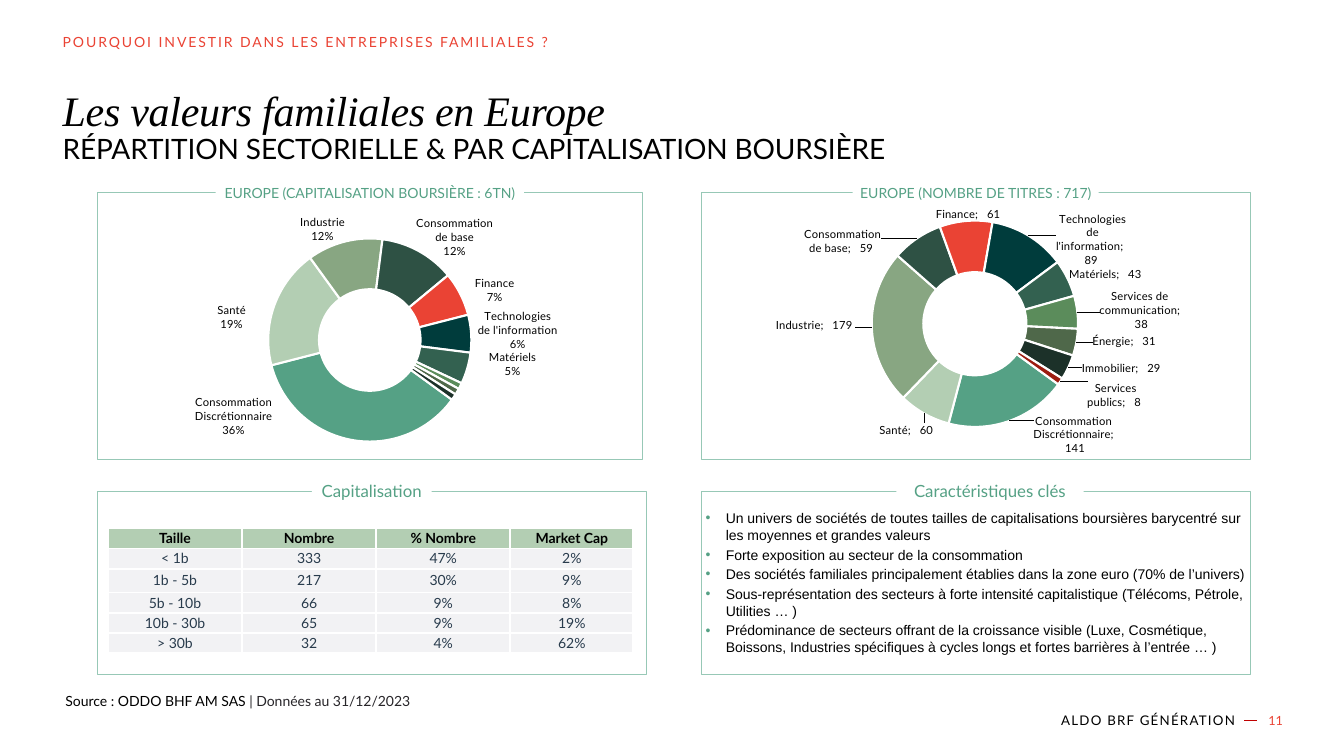
import math
from dataclasses import dataclass

from pptx import Presentation, oxml, util as u
from pptx.chart import data
from pptx.dml import color
from pptx.enum import chart as charts, shapes, text
from pptx.oxml import ns


@dataclass(frozen=True)
class Theme:
    red: str = "EA4334"
    dash: str = "C00000"
    green: str = "55A185"
    frame: str = "97C8B6"
    head: str = "B3CEB3"
    row: str = "F2F2F4"
    navy: str = "283B4C"
    dark: str = "272529"
    black: str = "000000"
    white: str = "FFFFFF"
    sectors: tuple = ("55A185", "B3CEB3", "88A682", "2E5144", "EA4334", "003C3C",
                      "336150", "5B8C5B", "4F684A", "1C3129", "9C1C10")
    font: str = "Lato"
    title_font: str = "Times New Roman"
    list_font: str = "Arial"
    headline: float = 30
    subtitle: float = 20
    caption: float = 12
    body: float = 10
    footer: float = 9.5
    page: float = 9
    label: float = 8


theme = Theme()
SECTORS = ["Consommation Discrétionnaire", "Santé", "Industrie", "Consommation de base",
           "Finance", "Technologies de l'information", "Matériels",
           "Services de communication", "Énergie", "Immobilier", "Services publics"]
START_ANGLE = 126


def rgb(code):
    return color.RGBColor.from_string(code)


def apply(target, values):
    for name, value in values.items():
        setattr(target, name, value)


def place(shape, box):
    apply(shape, dict(zip(("left", "top", "width", "height"), map(u.Cm, box))))


def add_run(paragraph, words, ink, size, font=theme.font, spacing=0, **style):
    run = paragraph.add_run()
    run.text = words
    apply(run.font, {"name": font, "size": u.Pt(size), **style})
    run.font.color.rgb = rgb(ink)
    if spacing:
        run.font._element.set("spc", str(round(spacing * 100)))


def set_frame(frame, margins=(0, 0, 0, 0), anchor=text.MSO_ANCHOR.MIDDLE):
    sides = ("margin_left", "margin_top", "margin_right", "margin_bottom")
    apply(frame, {"word_wrap": True, "auto_size": text.MSO_AUTO_SIZE.NONE,
                  "vertical_anchor": anchor, **dict(zip(sides, map(u.Cm, margins)))})


def add_text(slide, box, runs, align=text.PP_ALIGN.LEFT):
    shape = slide.shapes.add_textbox(*map(u.Cm, box))
    set_frame(shape.text_frame)
    paragraph = shape.text_frame.paragraphs[0]
    paragraph.alignment = align
    for run in runs:
        add_run(paragraph, **run)


def add_panel(slide, box):
    shape = slide.shapes.add_shape(shapes.MSO_SHAPE.RECTANGLE, *map(u.Cm, box))
    shape.shadow.inherit = False
    shape.fill.background()
    shape.line.color.rgb = rgb(theme.frame)
    shape.line.width = u.Pt(0.5)


def add_caption(slide, box, words, width, size, shift=0):
    left, top, panel_width, _ = box
    shape = slide.shapes.add_shape(
        shapes.MSO_SHAPE.RECTANGLE, u.Cm(left + (panel_width - width) / 2 + shift),
        u.Cm(top - 0.4), u.Cm(width), u.Cm(0.8))
    shape.shadow.inherit = False
    shape.fill.solid()
    shape.fill.fore_color.rgb = rgb(theme.white)
    shape.line.fill.background()
    set_frame(shape.text_frame)
    paragraph = shape.text_frame.paragraphs[0]
    paragraph.alignment = text.PP_ALIGN.CENTER
    add_run(paragraph, words, theme.green, size)


def label_xml(values, targets, box, center, radius, percent):
    separator = "\n" if percent else "; "
    number = "0%" if percent else r'_-* #\ ##0_-;\-* #\ ##0_-;_-* "-"??_-;_-'
    shown = (f'<c:showLegendKey val="0"/><c:showVal val="{int(not percent)}"/>'
             f'<c:showCatName val="1"/><c:showSerName val="0"/>'
             f'<c:showPercent val="{int(percent)}"/><c:showBubbleSize val="0"/>'
             f'<c:separator>{separator}</c:separator>')
    look = (f"<c:numFmt formatCode='{number}' sourceLinked='0'/>"
            '<c:spPr><a:noFill/><a:ln><a:noFill/></a:ln></c:spPr>'
            '<c:txPr><a:bodyPr wrap="square"/><a:p><a:pPr>'
            f'<a:defRPr sz="{theme.label * 100}"><a:solidFill><a:srgbClr val="{theme.black}"/>'
            f'</a:solidFill><a:latin typeface="{theme.font}"/></a:defRPr></a:pPr>'
            '<a:endParaRPr lang="fr-FR"/></a:p></c:txPr>')
    parts, passed = [], 0
    for index, value in enumerate(values):
        angle = math.radians(START_ANGLE + 360 * (passed + value / 2) / sum(values))
        passed += value
        if index >= len(targets):
            parts.append(f'<c:dLbl><c:idx val="{index}"/><c:delete val="1"/></c:dLbl>')
            continue
        x, y = targets[index]
        dx = (x - center[0] - 0.75 * radius * math.sin(angle)) / box[2]
        dy = (y - center[1] + 0.75 * radius * math.cos(angle)) / box[3]
        parts.append(f'<c:dLbl><c:idx val="{index}"/><c:layout><c:manualLayout>'
                     f'<c:x val="{dx:.4f}"/><c:y val="{dy:.4f}"/></c:manualLayout></c:layout>'
                     f'{look}{shown}</c:dLbl>')
    return (f'<c:dLbls {ns.nsdecls("c", "a")}>{"".join(parts)}{look}{shown}'
            f'<c:showLeaderLines val="{int(not percent)}"/></c:dLbls>')


def add_sector_chart(slide, box, values, targets, center, radius, percent):
    add_panel(slide, box)
    sectors = data.CategoryChartData()
    sectors.categories = SECTORS
    sectors.add_series("Series 1", values)
    chart = slide.shapes.add_chart(charts.XL_CHART_TYPE.DOUGHNUT, *map(u.Cm, box), sectors).chart
    apply(chart, {"has_title": False, "has_legend": False})
    apply(chart.font, {"name": theme.font, "size": u.Pt(theme.body)})
    chart.font.color.rgb = rgb(theme.black)
    plot = chart.plots[0]
    plot.vary_by_categories = False
    for index, ink in enumerate(theme.sectors):
        look = plot.series[0].points[index].format
        look.fill.solid()
        look.fill.fore_color.rgb = rgb(ink)
        look.line.color.rgb = rgb(theme.white)
        look.line.width = u.Pt(1.5)
    root = chart.element
    root.xpath(".//c:firstSliceAng")[0].set("val", str(START_ANGLE))
    root.xpath(".//c:holeSize")[0].set("val", "55")
    labels = label_xml(values, targets, box, center, radius, percent)
    root.xpath(".//c:ser/c:cat")[0].addprevious(oxml.parse_xml(labels))
    area = root.xpath(".//c:plotArea")[0]
    for layout in area.xpath("./c:layout"):
        area.remove(layout)
    spans = {"x": (center[0] - radius) / box[2], "y": (center[1] - radius) / box[3],
             "w": 2 * radius / box[2], "h": 2 * radius / box[3]}
    lengths = "".join(f'<c:{key} val="{span:.4f}"/>' for key, span in spans.items())
    area.insert(0, oxml.parse_xml(
        f'<c:layout {ns.nsdecls("c")}><c:manualLayout><c:layoutTarget val="inner"/>'
        f'<c:xMode val="edge"/><c:yMode val="edge"/>{lengths}</c:manualLayout></c:layout>'))
    root.xpath("./c:txPr")[0].addprevious(oxml.parse_xml(
        f'<c:spPr {ns.nsdecls("c", "a")}><a:noFill/><a:ln><a:noFill/></a:ln></c:spPr>'))


def add_size_table(slide, box, rows):
    add_panel(slide, box)
    widths, heights = (3.38, 3.38, 3.38, 3.1), (0.51, 0.51, 0.6, 0.51, 0.51, 0.51)
    table = slide.shapes.add_table(
        len(rows), len(widths), u.Cm(box[0] + 0.26), u.Cm(box[1] + 0.94),
        u.Cm(sum(widths)), u.Cm(sum(heights))).table
    for column, width in zip(table.columns, widths):
        column.width = u.Cm(width)
    for number, (row, height, words) in enumerate(zip(table.rows, heights, rows)):
        row.height = u.Cm(height)
        header = number == 0
        for cell, word in zip(row.cells, words):
            apply(cell, {"vertical_anchor": text.MSO_ANCHOR.MIDDLE, "margin_left": 0,
                         "margin_top": 0, "margin_right": 0, "margin_bottom": 0})
            cell.fill.solid()
            cell.fill.fore_color.rgb = rgb(theme.head if header else theme.row)
            paragraph = cell.text_frame.paragraphs[0]
            paragraph.alignment = text.PP_ALIGN.CENTER
            add_run(paragraph, word, theme.black if header else theme.navy, theme.body, bold=header)
            for index, side in enumerate("LRTB"):
                cell._tc.get_or_add_tcPr().insert(index, oxml.parse_xml(
                    f'<a:ln{side} {ns.nsdecls("a")} w="{u.Pt(1.5)}"><a:solidFill>'
                    f'<a:srgbClr val="{theme.white}"/></a:solidFill></a:ln{side}>'))


def add_key_points(slide, box, points):
    body = slide.placeholders[1]
    place(body, box)
    body.line.color.rgb = rgb(theme.frame)
    body.line.width = u.Pt(0.5)
    frame = body.text_frame
    set_frame(frame, (0.1, 0.2, 0.1, 0.2))
    for index, point in enumerate(points):
        paragraph = frame.add_paragraph() if index else frame.paragraphs[0]
        properties = paragraph._p.get_or_add_pPr()
        properties.set("marL", str(u.Cm(0.51)))
        properties.set("indent", str(u.Cm(-0.51)))
        for bullet in (f'<a:buClr {ns.nsdecls("a")}><a:srgbClr val="{theme.green}"/></a:buClr>',
                       f'<a:buFont {ns.nsdecls("a")} typeface="Arial"/>',
                       f'<a:buChar {ns.nsdecls("a")} char="•"/>'):
            properties.append(oxml.parse_xml(bullet))
        apply(paragraph, {"space_before": u.Pt(0), "space_after": u.Pt(2),
                          "alignment": text.PP_ALIGN.LEFT})
        add_run(paragraph, point, theme.black, theme.body, theme.list_font)


def add_heading(slide, box):
    left, top, width, _ = box
    title = slide.shapes.title
    place(title, (left, top, width, 0.4))
    set_frame(title.text_frame)
    paragraph = title.text_frame.paragraphs[0]
    paragraph.alignment = text.PP_ALIGN.LEFT
    add_run(paragraph, "POURQUOI INVESTIR DANS LES ENTREPRISES FAMILIALES ?",
            theme.red, theme.body, spacing=1.4)
    add_text(slide, (left, top + 1.3, width, 1.22), [dict(
        words="Les valeurs familiales en Europe", ink=theme.black, size=theme.headline,
        font=theme.title_font, spacing=-0.2, italic=True)])
    add_text(slide, (left, top + 2.45, width, 0.86), [dict(
        words="RÉPARTITION SECTORIELLE & PAR CAPITALISATION BOURSIÈRE",
        ink=theme.black, size=theme.subtitle, spacing=-0.1)])


def add_footer(slide, box):
    left, top, width, height = box
    add_text(slide, (left, top, 20, 0.6), [
        dict(words="Source : ODDO BHF AM SAS ", ink=theme.black, size=theme.body),
        dict(words="| Données au 31/12/2023", ink=theme.dark, size=theme.body)])
    right, middle = left + width, top + height - 0.25
    add_text(slide, (right - 13.2, middle - 0.25, 12, 0.5), [dict(
        words="ALDO BRF GÉNÉRATION", ink=theme.black, size=theme.footer, spacing=0.9)],
        text.PP_ALIGN.RIGHT)
    dash = slide.shapes.add_connector(shapes.MSO_CONNECTOR.STRAIGHT, *map(
        u.Cm, (right - 0.97, middle, right - 0.64, middle)))
    dash.line.color.rgb = rgb(theme.dash)
    dash.line.width = u.Pt(0.5)
    dash._element.spPr.append(oxml.parse_xml(f'<a:effectLst {ns.nsdecls("a")}/>'))
    add_text(slide, (right - 0.6, middle - 0.25, 0.6, 0.5), [dict(
        words="11", ink=theme.red, size=theme.page, spacing=-0.1)], text.PP_ALIGN.RIGHT)


def main():
    presentation = Presentation()
    apply(presentation, {"slide_width": u.Cm(33.87), "slide_height": u.Cm(19.05)})
    slide = presentation.slides.add_slide(presentation.slide_layouts[1])
    add_heading(slide, (1.58, 0.86, 29.2, 3.3))
    value_box, count_box = (2.46, 4.85, 13.72, 6.73), (17.68, 4.85, 13.82, 6.73)
    size_box, key_box = (2.46, 12.37, 13.82, 4.62), (17.68, 12.37, 13.82, 4.62)
    add_sector_chart(slide, value_box, (36, 19, 12, 12, 7, 6, 5, 1, 1, 1, 0), (
        (3.43, 5.63), (3.38, 3.14), (5.67, 0.92), (9, 1.12), (10.01, 2.46),
        (10.59, 3.46), (10.46, 4.32)), (6.86, 3.72), 2.56, True)
    add_caption(slide, value_box, "EUROPE (CAPITALISATION BOURSIÈRE : 6TN)", 7.77, theme.body)
    add_sector_chart(slide, count_box, (141, 60, 179, 59, 61, 89, 43, 38, 31, 29, 8), (
        (9.38, 6.09), (5.2, 5.98), (2.88, 3.34), (3.56, 1.22), (6.76, 0.54), (9.86, 1.17),
        (10.22, 2.05), (11.05, 2.96), (10.69, 3.74), (10.62, 4.42), (10.44, 5.1)),
        (6.89, 3.31), 2.6, False)
    add_caption(slide, count_box, "EUROPE (NOMBRE DE TITRES : 717)", 6.2, theme.body)
    add_size_table(slide, size_box, (
        ("Taille", "Nombre", "% Nombre", "Market Cap"), ("< 1b", "333", "47%", "2%"),
        ("1b - 5b", "217", "30%", "9%"), ("5b - 10b", "66", "9%", "8%"),
        ("10b - 30b", "65", "9%", "19%"), ("> 30b", "32", "4%", "62%")))
    add_caption(slide, size_box, "Capitalisation", 3.02, theme.caption)
    add_key_points(slide, key_box, (
        "Un univers de sociétés de toutes tailles de capitalisations boursières barycentré sur les moyennes et grandes valeurs",
        "Forte exposition au secteur de la consommation",
        "Des sociétés familiales principalement établies dans la zone euro (70% de l’univers)",
        "Sous-représentation des secteurs à forte intensité capitalistique (Télécoms, Pétrole, Utilities … )",
        "Prédominance de secteurs offrant de la croissance visible (Luxe, Cosmétique, Boissons, Industries spécifiques à cycles longs et fortes barrières à l’entrée … )"))
    add_caption(slide, key_box, "Caractéristiques clés", 4.72, theme.caption, 0.36)
    add_footer(slide, (1.65, 17.37, 30.68, 1.04))
    presentation.save("out.pptx")


if __name__ == "__main__":
    main()
